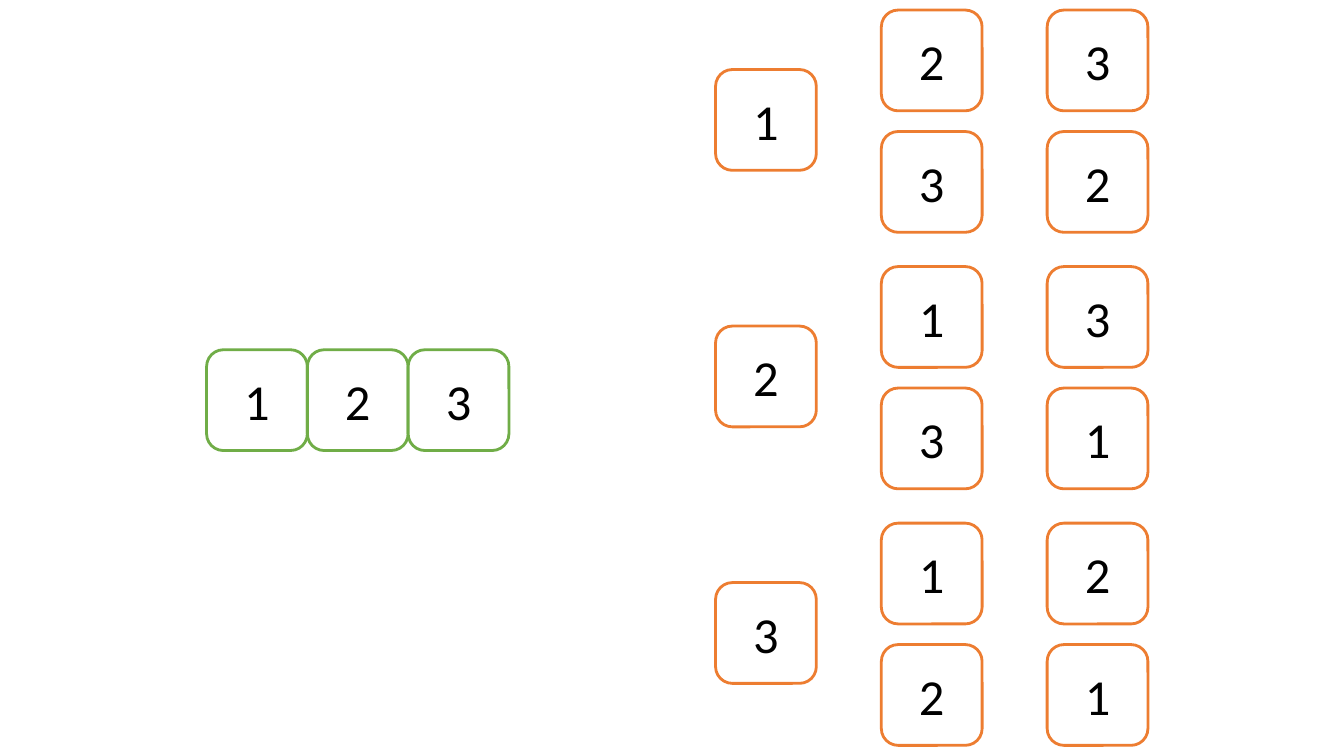
from itertools import permutations

from pptx import Presentation
from pptx.dml.color import RGBColor
from pptx.enum.shapes import MSO_SHAPE as Shape
from pptx.enum.text import MSO_ANCHOR as Anchor, PP_ALIGN as Align
from pptx.util import Pt

EMU_PER_PX = 4572
SLIDE_WIDTH, SLIDE_HEIGHT = 2667, 1500
CARD = 200
COLUMN_PITCH = 329
ROW_PITCH = 241
BRANCH_PITCH = 509
FIRST_DROP = 118
COLORS = {"card": "FFFFFF", "digit": "000000", "input": "70AD47", "branch": "ED7D31"}
DIGITS = "123"


def px(length):
    return length * EMU_PER_PX


def color(name):
    return RGBColor.from_string(COLORS[name])


def add_card(shapes, left, top, digit, outline):
    card = shapes.add_shape(Shape.ROUNDED_RECTANGLE, px(left), px(top), px(CARD), px(CARD))
    card.shadow.inherit = False
    card.fill.solid()
    card.fill.fore_color.rgb = color("card")
    card.line.color.rgb = color(outline)
    card.line.width = Pt(2)
    frame = card.text_frame
    frame.vertical_anchor = Anchor.MIDDLE
    paragraph = frame.paragraphs[0]
    paragraph.alignment = Align.CENTER
    run = paragraph.add_run()
    run.text = digit
    run.font.name = "Calibri"
    run.font.size = Pt(36)
    run.font.color.rgb = color("digit")


def add_input(slide, left, top):
    cards = slide.shapes.add_group_shape().shapes
    for index, digit in enumerate(DIGITS):
        add_card(cards, left + index * CARD, top, digit, "input")


def add_branch(slide, left, top, first):
    cards = slide.shapes.add_group_shape().shapes
    add_card(cards, left, top + FIRST_DROP, first, "branch")
    for row, rest in enumerate(permutations(DIGITS.replace(first, ""))):
        for column, digit in enumerate(rest, 1):
            add_card(cards, left + column * COLUMN_PITCH, top + row * ROW_PITCH, digit, "branch")


def add_permutations(slide, left, top):
    for index, first in enumerate(DIGITS):
        add_branch(slide, left, top + index * BRANCH_PITCH, first)


def main():
    deck = Presentation()
    deck.slide_width, deck.slide_height = px(SLIDE_WIDTH), px(SLIDE_HEIGHT)
    slide = deck.slides.add_slide(deck.slide_layouts.get_by_name("Blank"))
    add_input(slide, 410, 694)
    add_permutations(slide, 1420, 20)
    deck.save("out.pptx")


if __name__ == "__main__":
    main()
